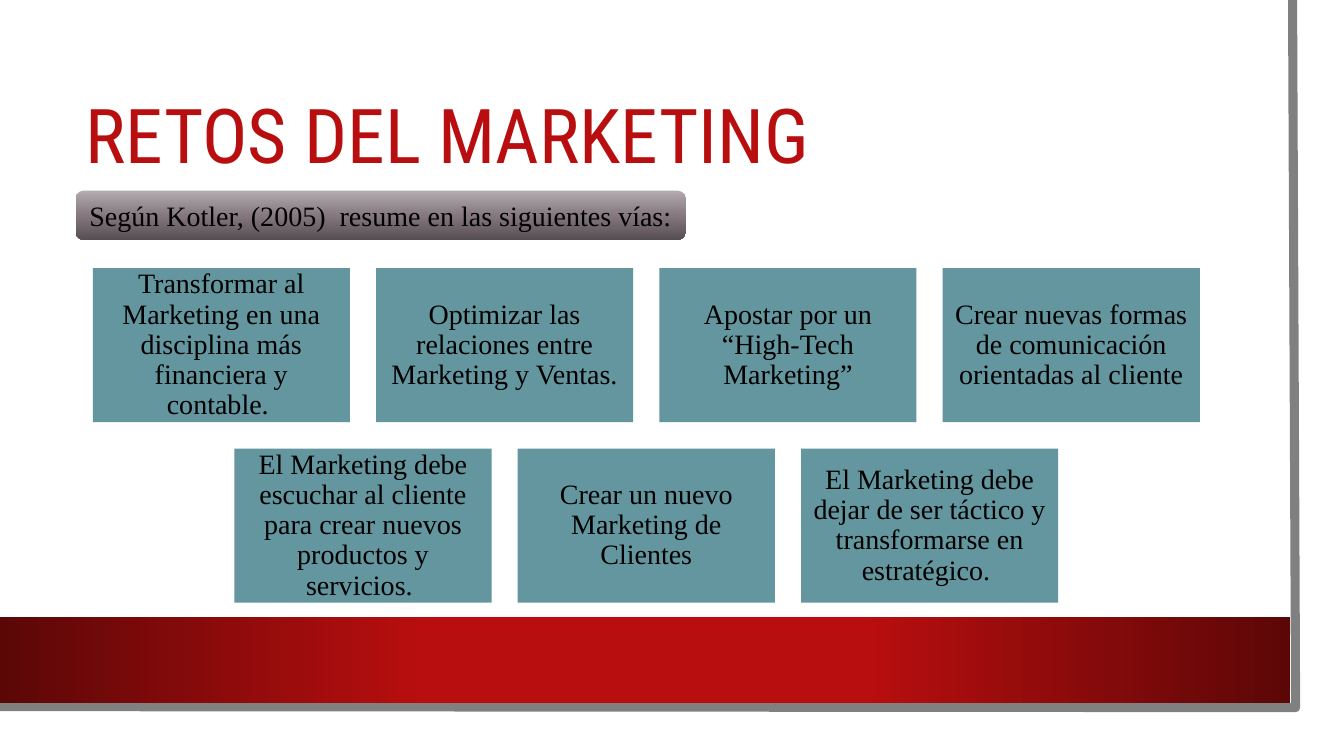
from lxml import etree
from pptx import Presentation, util as u
from pptx.dml.color import RGBColor
from pptx.enum import shapes, text
from pptx.oxml import ns

WIDTH, HEIGHT = 13.33, 7.5
TITLE_FONT, BODY_FONT = "Roboto Condensed", "Times New Roman"
RED, DARK_RED, TEAL, GREY = "B80E0F", "5C0707", "64969F", "808080"
BOX_WIDTH, BOX_HEIGHT, GAP = 2.55, 1.53, 0.26
GRID_CENTER, GRID_TOP = 6.41, 2.66
CHALLENGE_ROWS = [
    ["Transformar al Marketing en una disciplina más financiera y contable. ",
     "Optimizar las relaciones entre Marketing y Ventas.",
     "Apostar por un “High-Tech Marketing”",
     "Crear nuevas formas de comunicación orientadas al cliente"],
    ["El Marketing debe escuchar al cliente para crear nuevos productos y servicios. ",
     "Crear un nuevo Marketing de Clientes",
     "El Marketing debe dejar de ser táctico y transformarse en estratégico. "],
]


def color(value):
    return RGBColor.from_string(value)


def place(shape, left, top, width, height):
    shape.left, shape.top = u.Inches(left), u.Inches(top)
    shape.width, shape.height = u.Inches(width), u.Inches(height)


def add_box(slide, kind, area, fill):
    shape = slide.shapes.add_shape(kind, *[u.Inches(value) for value in area])
    shape.shadow.inherit = False
    shape.fill.solid()
    shape.fill.fore_color.rgb = color(fill)
    shape.line.fill.background()
    return shape


def set_gradient(shape, stops, degrees):
    """Replace the solid fill by a linear gradient of (percent, colour) stops."""
    solid = shape._element.spPr.find(ns.qn("a:solidFill"))
    gradient = etree.Element(ns.qn("a:gradFill"), rotWithShape="1")
    stop_list = etree.SubElement(gradient, ns.qn("a:gsLst"))
    for percent, value in stops:
        stop = etree.SubElement(stop_list, ns.qn("a:gs"), pos=str(percent * 1000))
        etree.SubElement(stop, ns.qn("a:srgbClr"), val=value)
    etree.SubElement(gradient, ns.qn("a:lin"), ang=str(degrees * 60000), scaled="0")
    solid.getparent().replace(solid, gradient)


def write(shape, words, font, size, ink, align, spacing=None):
    frame = shape.text_frame
    frame.text = words
    frame.word_wrap = True
    frame.auto_size = text.MSO_AUTO_SIZE.NONE
    frame.vertical_anchor = text.MSO_ANCHOR.MIDDLE
    paragraph = frame.paragraphs[0]
    paragraph.alignment = align
    paragraph.line_spacing = spacing
    run_font = paragraph.runs[0].font
    run_font.name, run_font.size = font, u.Pt(size)
    run_font.color.rgb = color(ink)


def add_backdrop(slide):
    rectangle = shapes.MSO_SHAPE.RECTANGLE
    add_box(slide, rectangle, (0, 0, 13.1, 7.27), "FFFFFF")
    builder = slide.shapes.build_freeform(u.Inches(12.82), 0)
    builder.add_line_segments(
        [(u.Inches(12.85), u.Inches(7.02)), (u.Inches(-0.03), u.Inches(7.01))], close=False)
    edge = builder.convert_to_shape()
    edge.shadow.inherit = False
    edge.fill.background()
    edge.line.color.rgb = color(GREY)
    edge.line.width = u.Pt(6.5)
    band = add_box(slide, rectangle, (0, 6.12, 12.8, 0.85), RED)
    set_gradient(band, [(0, DARK_RED), (33, RED), (67, RED), (100, DARK_RED)], 0)


def add_title(slide, words):
    title = slide.shapes.title
    slide.shapes._spTree.append(title._element)  # bring in front of the backdrop
    place(title, 0.75, 0.75, 11.37, 1.26)
    write(title, words, TITLE_FONT, 54, RED, text.PP_ALIGN.LEFT, 0.9)


def add_challenge(slide, words, left, top):
    box = add_box(slide, shapes.MSO_SHAPE.RECTANGLE, (left, top, BOX_WIDTH, BOX_HEIGHT), TEAL)
    write(box, words, BODY_FONT, 20, "000000", text.PP_ALIGN.CENTER, 0.9)
    frame = box.text_frame
    frame.margin_left = frame.margin_right = u.Inches(0.08)
    frame.margin_top = frame.margin_bottom = u.Inches(0.08)


def add_challenges(slide):
    """Lay out each row of boxes centred on the same axis."""
    for row, challenges in enumerate(CHALLENGE_ROWS):
        row_width = len(challenges) * (BOX_WIDTH + GAP) - GAP
        for column, words in enumerate(challenges):
            left = GRID_CENTER - row_width / 2 + column * (BOX_WIDTH + GAP)
            add_challenge(slide, words, left, GRID_TOP + row * (BOX_HEIGHT + GAP))


def add_introduction(slide, words):
    label = add_box(slide, shapes.MSO_SHAPE.ROUNDED_RECTANGLE, (0.75, 1.89, 6.05, 0.49), GREY)
    set_gradient(label, [(0, "B3ABAF"), (52, "84777E"), (100, "564D52")], 90)
    write(label, words, BODY_FONT, 20, "000000", text.PP_ALIGN.CENTER)


def main():
    presentation = Presentation()
    presentation.slide_width = u.Inches(WIDTH)
    presentation.slide_height = u.Inches(HEIGHT)
    slide = presentation.slides.add_slide(presentation.slide_layouts[5])
    add_backdrop(slide)
    add_title(slide, "RETOS DEL MARKETING")
    add_challenges(slide)
    add_introduction(slide, "Según Kotler, (2005)  resume en las siguientes vías:")
    presentation.save("out.pptx")


if __name__ == "__main__":
    main()
